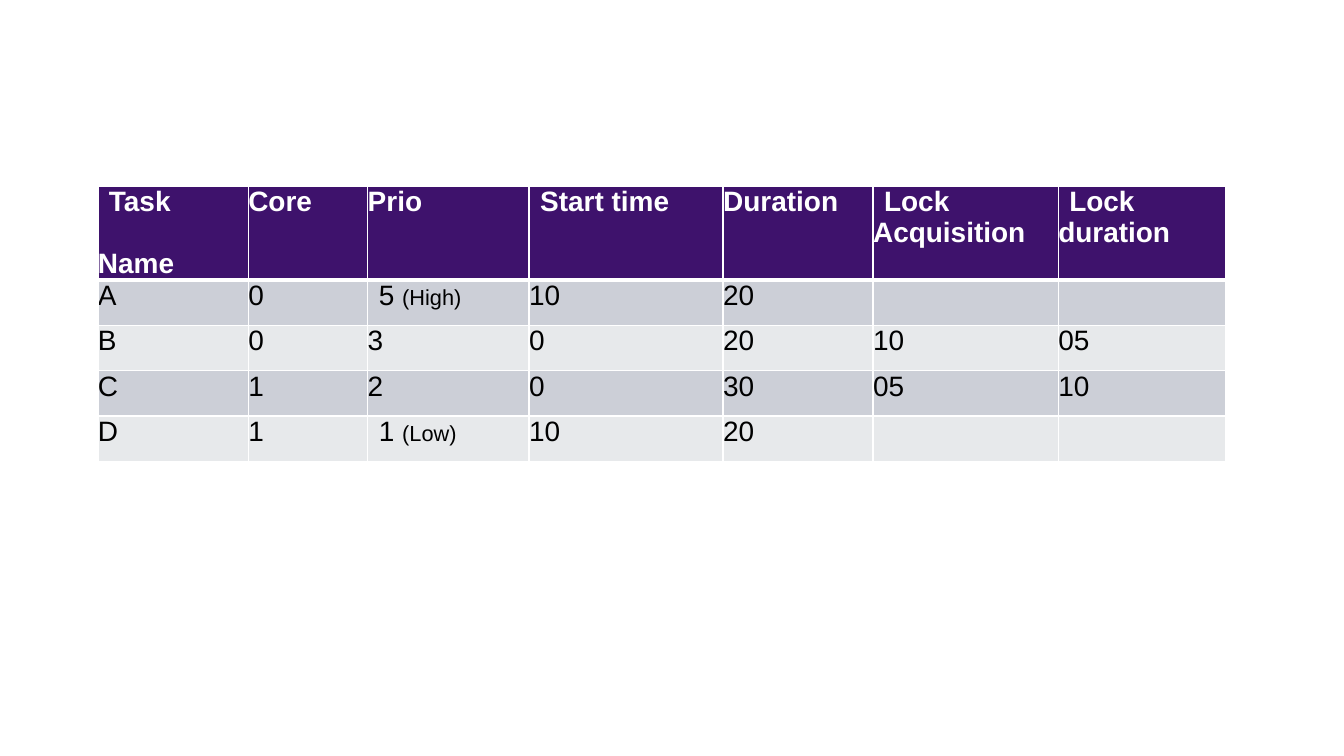
from lxml import etree
from pptx import Presentation
from pptx import util as u
from pptx.dml.color import RGBColor
from pptx.enum import text
from pptx.oxml import ns

PURPLE = RGBColor(0x3E, 0x12, 0x6C)
GREY = RGBColor(0xCC, 0xCF, 0xD7)
PALE = RGBColor(0xE7, 0xE9, 0xEB)
WHITE = RGBColor(0xFF, 0xFF, 0xFF)
BLACK = RGBColor(0, 0, 0)

COLUMN_WIDTHS = [3.41, 2.71, 3.66, 4.4, 3.4, 4.2, 3.8]
HEADER_HEIGHT, ROW_HEIGHT = 1.78, 1.03

HEADINGS = ["Task\nName", "Core", "Prio", "Start time", "Duration",
            "Lock Acquisition", "Lock duration"]
INDENTED_HEADINGS = {0, 3, 5, 6}
TASKS = [
    ["A", "0", "5 (High)", "10", "20", "", ""],
    ["B", "0", "3", "0", "20", "10", "05"],
    ["C", "1", "2", "0", "30", "05", "10"],
    ["D", "1", "1 (Low)", "10", "20", "", ""],
]


def add_span(para, content, *, size=18, color=BLACK, bold=False, font="Arial"):
    span = para.add_run()
    span.text = content
    span.font.name = font
    span.font.size = u.Pt(size)
    span.font.bold = bold
    span.font.color.rgb = color


class TaskSlide:
    font = "Arial"
    note_size = 14
    paragraph_gap = 20
    first_line_indent = 0.25

    def __init__(self, deck):
        self.page = deck.slides.add_slide(deck.slide_layouts[6])

    def table(self, left, top, widths, heights):
        frame = self.page.shapes.add_table(
            len(heights), len(widths), u.Cm(left), u.Cm(top),
            u.Cm(sum(widths)), u.Cm(sum(heights)))
        grid = frame.table
        for column, width in zip(grid.columns, widths):
            column.width = u.Cm(width)
        for row, height in zip(grid.rows, heights):
            row.height = u.Cm(height)
        return grid

    def borders(self, cell, **widths):
        """Draw white cell borders; widths are points for L, R, T and B."""
        properties = cell._tc.get_or_add_tcPr()
        for side, width in widths.items():
            line = etree.SubElement(properties, ns.qn(f"a:ln{side}"), w=str(u.Pt(width)))
            fill = etree.SubElement(line, ns.qn("a:solidFill"))
            etree.SubElement(fill, ns.qn("a:srgbClr"), val=str(WHITE))

    def cell(self, cell, content, fill, *, color=BLACK, bold=False,
             indent=False, top=1, bottom=1):
        cell.margin_left = cell.margin_right = 0
        cell.margin_top = cell.margin_bottom = 0
        cell.vertical_anchor = text.MSO_ANCHOR.TOP
        self.borders(cell, L=1, R=1, T=top, B=bottom)
        cell.fill.solid()
        cell.fill.fore_color.rgb = fill

        for index, line in enumerate(content.split("\n")):
            box = cell.text_frame
            para = box.add_paragraph() if index else box.paragraphs[0]
            if index:
                para.space_before = u.Pt(self.paragraph_gap)
            elif indent:
                para._p.get_or_add_pPr().set("indent", str(u.Cm(self.first_line_indent)))
            # A remark in brackets is set smaller than the value before it
            value, bracket, remark = line.partition("(")
            style = dict(color=color, bold=bold, font=self.font)
            if value:
                add_span(para, value, **style)
            if bracket:
                add_span(para, bracket + remark, size=self.note_size, **style)


def main():
    deck = Presentation()
    deck.slide_width, deck.slide_height = u.Cm(30.48), u.Cm(17.15)
    slide = TaskSlide(deck)
    grid = slide.table(2.22, 4.22, COLUMN_WIDTHS,
                       [HEADER_HEIGHT] + [ROW_HEIGHT] * len(TASKS))

    # Header row
    for column, heading in enumerate(HEADINGS):
        slide.cell(grid.cell(0, column), heading, PURPLE, color=WHITE, bold=True,
                   indent=column in INDENTED_HEADINGS, bottom=3)

    # One row per task, in alternating shades
    for row, task in enumerate(TASKS, start=1):
        for column, value in enumerate(task):
            slide.cell(grid.cell(row, column), value, GREY if row % 2 else PALE,
                       indent="(" in value, top=3 if row == 1 else 1)

    deck.save("out.pptx")


if __name__ == "__main__":
    main()
